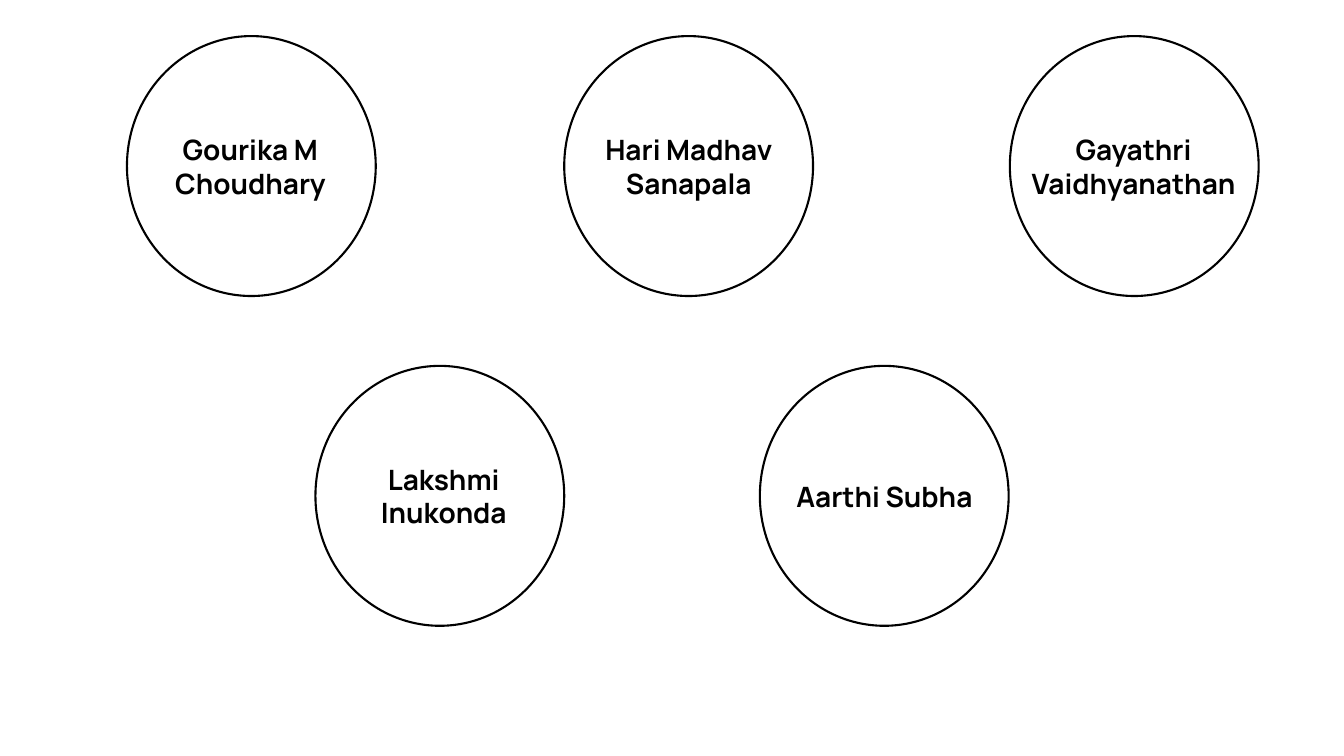
from pptx import Presentation
from pptx.dml.color import RGBColor
from pptx.enum.shapes import MSO_SHAPE as Shape
from pptx.enum.text import MSO_ANCHOR as Anchor, MSO_AUTO_SIZE as AutoSize, PP_ALIGN as Align
from pptx.util import Cm, Pt

BLACK = "000000"
CIRCLE_W, CIRCLE_H = 6.27, 6.55
TOP_ROW, BOTTOM_ROW = 0.91, 9.22
NAME_FONT = {"name": "Manrope", "size": Pt(20), "bold": True}
NAME_FRAME = {"word_wrap": True, "auto_size": AutoSize.SHAPE_TO_FIT_TEXT,
              "vertical_anchor": Anchor.MIDDLE}

# Name, circle left and top, label offset and width, label lines (cm)
MEMBERS = [
    ("Gourika M Choudhary", 3.2, TOP_ROW, 0.25, 5.72, 2),
    ("Hari Madhav Sanapala", 14.22, TOP_ROW, 0.28, 5.72, 2),
    ("Gayathri Vaidhyanathan", 25.45, TOP_ROW, -0.03, 6.3, 2),
    ("Lakshmi Inukonda", 7.95, BOTTOM_ROW, 0.2, 6.07, 2),
    ("Aarthi Subha", 19.15, BOTTOM_ROW, 0.28, 5.72, 1),
]


def color(value):
    return RGBColor.from_string(value)


def apply(target, values):
    for name, value in values.items():
        setattr(target, name, value)


def add_label(s, text, left, top, width, height):
    sp = s.shapes.add_textbox(Cm(left), Cm(top), Cm(width), Cm(height))
    tf = sp.text_frame
    apply(tf, NAME_FRAME)
    p = tf.paragraphs[0]
    p.alignment = Align.CENTER
    r = p.add_run()
    r.text = text
    apply(r.font, NAME_FONT)
    r.font.color.rgb = color(BLACK)


def add_circle(s, left, top, width, height):
    sp = s.shapes.add_shape(Shape.OVAL, Cm(left), Cm(top), Cm(width), Cm(height))
    sp.shadow.inherit = False
    sp.fill.background()
    sp.line.color.rgb = color(BLACK)
    sp.line.width = Pt(1.5)


def add_member(s, name, left, top, offset, label_w, lines):
    # Label, centred on the height of the circle
    label_h = 0.28 + 0.84 * lines
    label_top = top + (CIRCLE_H - label_h) / 2
    add_label(s, name, left + offset, label_top, label_w, label_h)
    # Outline
    add_circle(s, left, top, CIRCLE_W, CIRCLE_H)


def main():
    prs = Presentation()
    prs.slide_width, prs.slide_height = Cm(33.87), Cm(19.05)
    s = prs.slides.add_slide(prs.slide_layouts[6])
    for member in MEMBERS:
        add_member(s, *member)
    prs.save("out.pptx")


if __name__ == "__main__":
    main()
